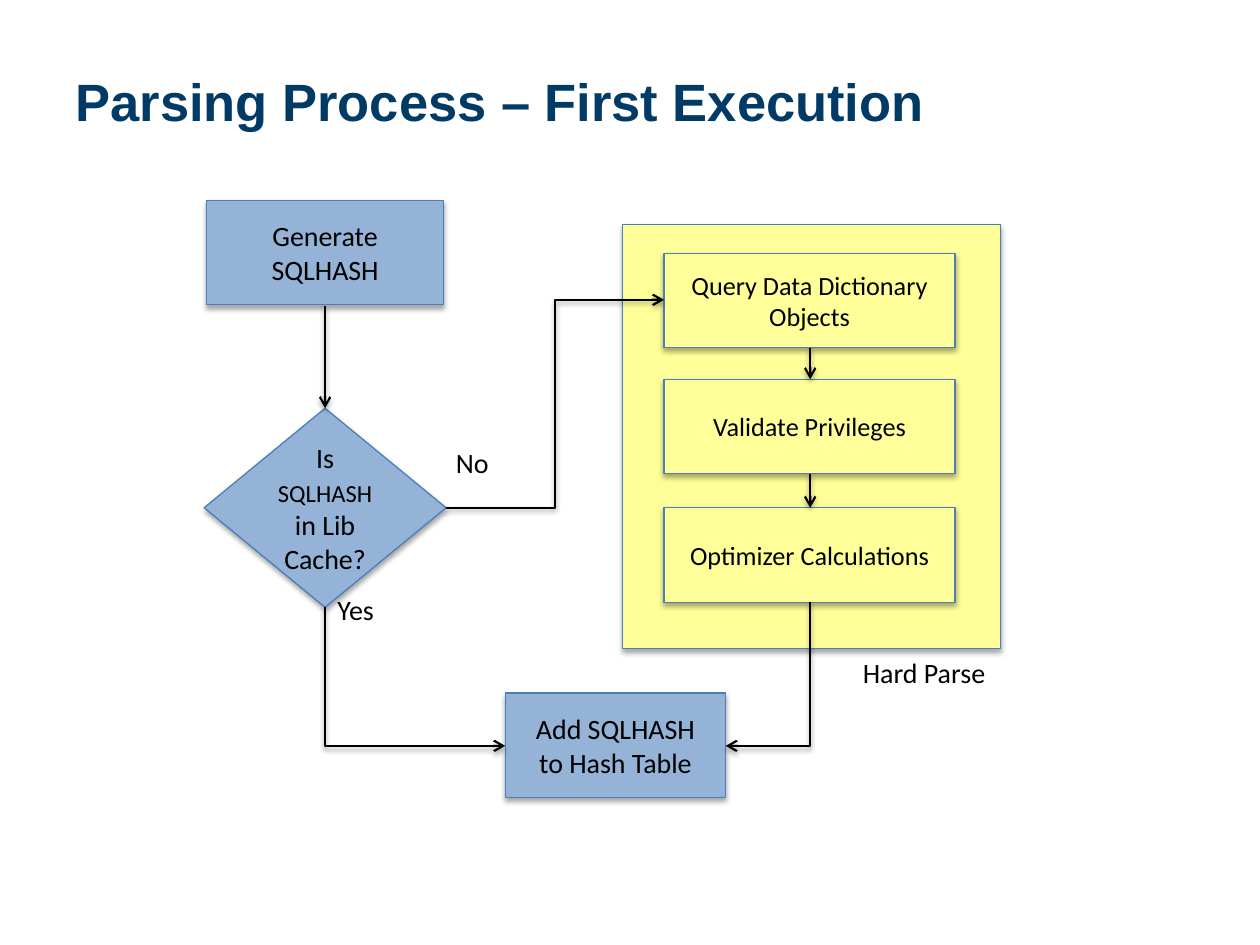
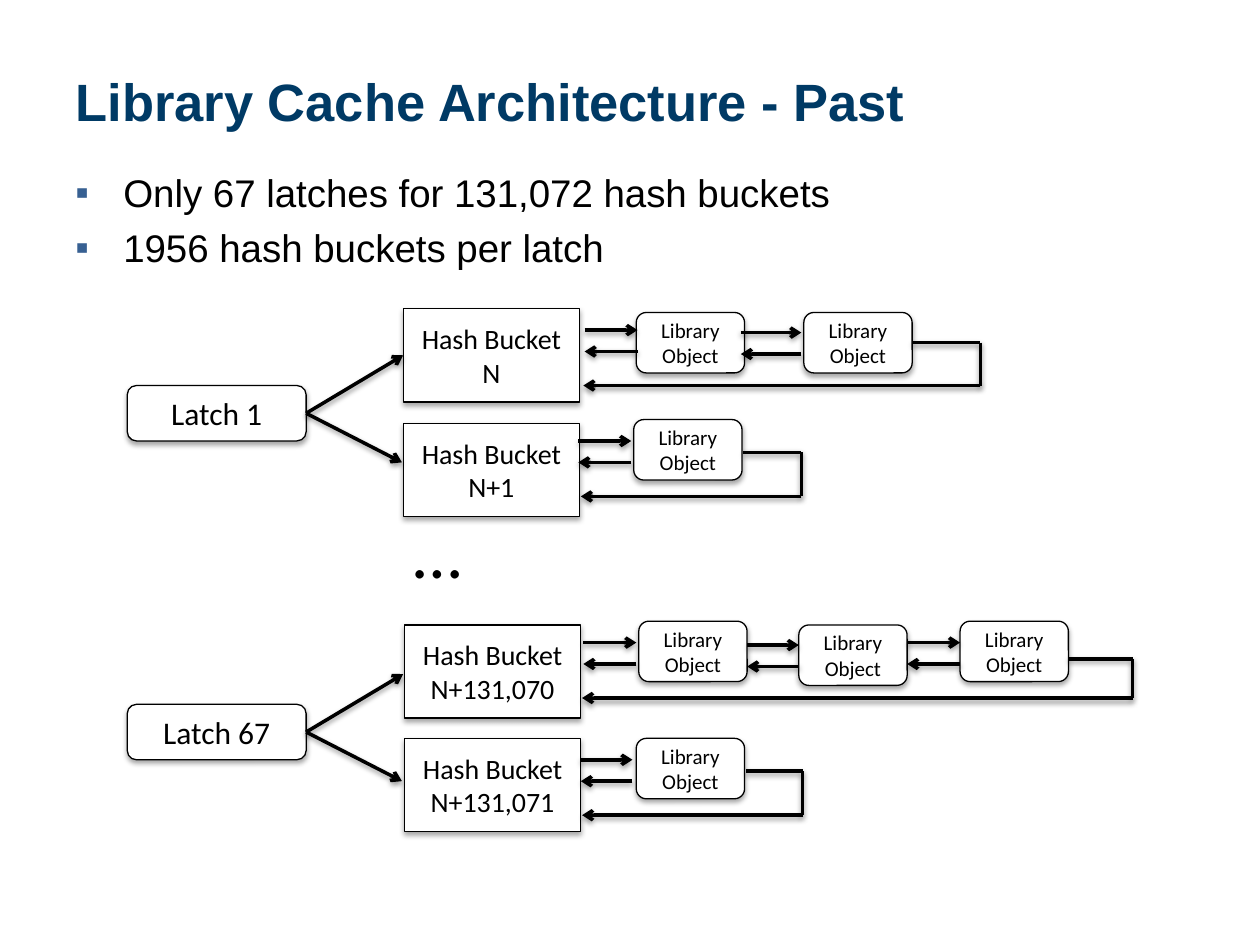
from lxml.etree import SubElement
from pptx import Presentation
from pptx.dml.color import RGBColor
from pptx.enum.shapes import MSO_CONNECTOR as Link, MSO_SHAPE as Form
from pptx.enum.text import MSO_ANCHOR as Anchor, PP_ALIGN as Align
from pptx.oxml.ns import qn
from pptx.util import Inches, Pt

NAVY, BLUE, EDGE, BULLET = "003A65", "95B3D7", "4B7EBC", "376092"
YELLOW, BLACK, WHITE = "FFFF99", "000000", "FFFFFF"


def color(code):
    return RGBColor.from_string(code)


class Deck:
    """Holds the shared style and the current slide."""

    def __init__(self):
        self.prs = Presentation()
        self.prs.slide_width, self.prs.slide_height = Inches(10), Inches(7.5)
        self.slide = None
        self.fill, self.edge, self.inset = WHITE, BLACK, None
        self.weight = 1.25

    def start(self, title):
        self.slide = self.prs.slides.add_slide(self.prs.slide_layouts[5])
        head = self.slide.shapes.title
        head.left, head.top = Inches(0.5), Inches(0.3)
        head.width, head.height = Inches(9.01), Inches(0.99)
        head.text_frame.text = title
        head.text_frame.vertical_anchor = Anchor.MIDDLE
        self.style(head.text_frame, 30, Align.LEFT, NAVY, "Arial", True)

    def style(self, frame, size, align, ink=BLACK, face="Calibri", bold=False):
        for para in frame.paragraphs:
            para.alignment = align
            for run in para.runs:
                font = run.font
                font.name, font.size, font.bold = face, Pt(size), bold
                font.color.rgb = color(ink)

    def shadow(self, shape, alpha, dist):
        props = shape._element.spPr
        for old in props.findall(qn("a:effectLst")):
            props.remove(old)
        cast = SubElement(SubElement(props, qn("a:effectLst")), qn("a:outerShdw"),
                          blurRad=str(Pt(3.1)), dist=str(Pt(dist)),
                          dir="5400000", rotWithShape="0")
        tint = SubElement(cast, qn("a:srgbClr"), val=BLACK)
        SubElement(tint, qn("a:alpha"), val=str(alpha * 1000))

    def box(self, x, y, w, h, text="", size=16, form=Form.RECTANGLE, fill=None):
        shape = self.slide.shapes.add_shape(
            form, Inches(x), Inches(y), Inches(w), Inches(h))
        shape.fill.solid()
        shape.fill.fore_color.rgb = color(fill or self.fill)
        shape.line.color.rgb = color(self.edge)
        shape.line.width = Pt(0.75)
        self.shadow(shape, 35, 1.8)
        frame = shape.text_frame
        frame.word_wrap, frame.vertical_anchor = True, Anchor.MIDDLE
        if self.inset:
            frame.margin_left = frame.margin_right = Inches(self.inset)
            frame.margin_top = frame.margin_bottom = Inches(self.inset)
        frame.text = text
        self.style(frame, size, Align.CENTER)
        return shape

    def label(self, x, y, w, h, text, size=16, wrap=False, anchor=Anchor.TOP):
        area = self.slide.shapes.add_textbox(
            Inches(x), Inches(y), Inches(w), Inches(h))
        frame = area.text_frame
        frame.word_wrap, frame.vertical_anchor = wrap, anchor
        frame.text = text
        self.style(frame, size, Align.LEFT)
        return frame

    def bullets(self, x, y, w, h, text):
        frame = self.label(x, y, w, h, text, wrap=True)
        for i, para in enumerate(frame.paragraphs):
            props = para._p.get_or_add_pPr()
            props.set("marL", str(Inches(0.38)))
            props.set("indent", str(-Inches(0.38)))
            if i:
                para.space_before = Pt(5)
            tint = SubElement(props, qn("a:buClr"))
            SubElement(tint, qn("a:srgbClr"), val=BULLET)
            SubElement(props, qn("a:buFont"), typeface="Arial")
            SubElement(props, qn("a:buChar"), char="▪")
        self.style(frame, 22, Align.LEFT, face="Arial")

    def line(self, x1, y1, x2, y2, kind=Link.STRAIGHT, arrow=True):
        link = self.slide.shapes.add_connector(
            kind, Inches(x1), Inches(y1), Inches(x2), Inches(y2))
        link.line.color.rgb = color(BLACK)
        link.line.width = Pt(self.weight)
        if arrow:
            SubElement(link._element.spPr.get_or_add_ln(), qn("a:tailEnd"), type="arrow")
        self.shadow(link, 38, 1.6)
        return link

    def corner(self, x1, y1, x2, y2):
        """Arrow that runs down first, then sideways: a turned two-part bend."""
        right = x2 > x1
        midx, midy = (x1 + x2) / 2, (y1 + y2) / 2
        half, rise = (y2 - y1) / 2, abs(x2 - x1) / 2
        if right:
            half = -half
        link = self.line(midx - half, midy - rise, midx + half, midy + rise, Link.ELBOW)
        props = link._element.spPr
        props.find(qn("a:prstGeom")).set("prst", "bentConnector2")
        props.find(qn("a:xfrm")).set("rot", str((270 if right else 90) * 60000))

    def latch(self, y, name):
        self.box(1.01, y, 1.42, 0.44, name, 18, Form.ROUNDED_RECTANGLE)
        mid = y + 0.22
        self.line(2.43, mid, 3.2, mid - 0.46)
        self.line(2.43, mid, 3.19, mid + 0.39)

    def chain(self, x, y, name, items, loop):
        """Bucket, its linked objects and the line back to the bucket."""
        self.box(x, y, 1.4, 0.74, "Hash Bucket\n" + name)
        for left, top, near, far, row in items:
            self.box(left, top, 0.86, 0.48, "Library Object", 12, Form.ROUNDED_RECTANGLE)
            self.line(near, row, far, row)
            self.line(far, row + 0.17, near, row + 0.17)
        out, top, side, low, end = loop
        self.line(out, top, side, top, arrow=False)
        self.line(side, top, side, low, arrow=False)
        self.line(side, low, end, low)


def parsing(deck):
    deck.start("Parsing Process – First Execution")
    deck.fill, deck.edge, deck.inset, deck.weight = BLUE, EDGE, 0.1, 1.25

    # Hash lookup
    deck.box(1.64, 1.59, 1.88, 0.83, "Generate SQLHASH")
    test = deck.box(1.62, 3.24, 1.92, 1.58, form=Form.FLOWCHART_DECISION)
    para = test.text_frame.paragraphs[0]
    for part in ("Is ", "SQLHASH", " in Lib Cache?"):
        para.add_run().text = part
    deck.style(test.text_frame, 16, Align.CENTER)
    para.runs[1].font.size = Pt(14)
    deck.label(3.52, 3.49, 0.47, 0.37, "No")
    deck.label(2.58, 4.65, 0.49, 0.37, "Yes")
    deck.box(4.01, 5.5, 1.75, 0.83, "Add SQLHASH\nto Hash Table")
    deck.line(2.58, 2.43, 2.58, 3.24)
    deck.corner(2.58, 4.82, 4.01, 5.92)

    # Hard parse panel
    deck.label(6.75, 5.15, 1.19, 0.37, "Hard Parse")
    deck.box(4.94, 1.78, 3, 3.37, fill=YELLOW)
    steps = [(2.01, "Query Data Dictionary Objects"),
             (3.01, "Validate Privileges"), (4.03, "Optimizer Calculations")]
    for top, text in steps:
        deck.box(5.27, top, 2.31, 0.75, text, 15, fill=YELLOW)
    for (top, _), (low, _) in zip(steps, steps[1:]):
        deck.line(6.43, top + 0.75, 6.43, low)
    deck.corner(6.43, 4.78, 5.76, 5.92)
    deck.line(3.54, 4.03, 5.27, 2.38, Link.ELBOW)


def cache(deck):
    deck.start("Library Cache Architecture - Past")
    deck.fill, deck.edge, deck.inset, deck.weight = WHITE, BLACK, None, 2
    deck.bullets(0.5, 1.29, 9.01, 1.1,
                 "Only 67 latches for 131,072 hash buckets\n1956 hash buckets per latch")
    deck.label(3.18, 4.33, 1.4, 0.42, "…", 40, True, Anchor.BOTTOM)

    # Objects: left, top, link start, link end, link height
    # Loop: start, top, right side, bottom, arrow end
    deck.chain(3.2, 2.45, "N",
               [(5.05, 2.48, 4.64, 5.06, 2.62), (6.38, 2.48, 5.88, 6.36, 2.64)],
               (7.24, 2.72, 7.78, 3.06, 4.63))
    deck.chain(3.2, 3.36, "N+1", [(5.03, 3.33, 4.59, 5.01, 3.5)],
               (5.9, 3.59, 6.36, 3.94, 4.61))
    deck.latch(3.06, "Latch 1")
    deck.chain(3.21, 4.96, "N+131,070",
               [(5.07, 4.93, 4.63, 5.05, 5.1), (6.34, 4.96, 5.93, 6.34, 5.12),
                (7.62, 4.93, 7.2, 7.62, 5.1)],
               (8.48, 5.23, 8.99, 5.54, 4.62))
    deck.chain(3.21, 5.86, "N+131,071", [(5.05, 5.86, 4.61, 5.02, 6.03)],
               (5.92, 6.12, 6.37, 6.47, 4.62))
    deck.latch(5.59, "Latch 67")


def main():
    deck = Deck()
    parsing(deck)
    cache(deck)
    deck.prs.save("out.pptx")


if __name__ == "__main__":
    main()
